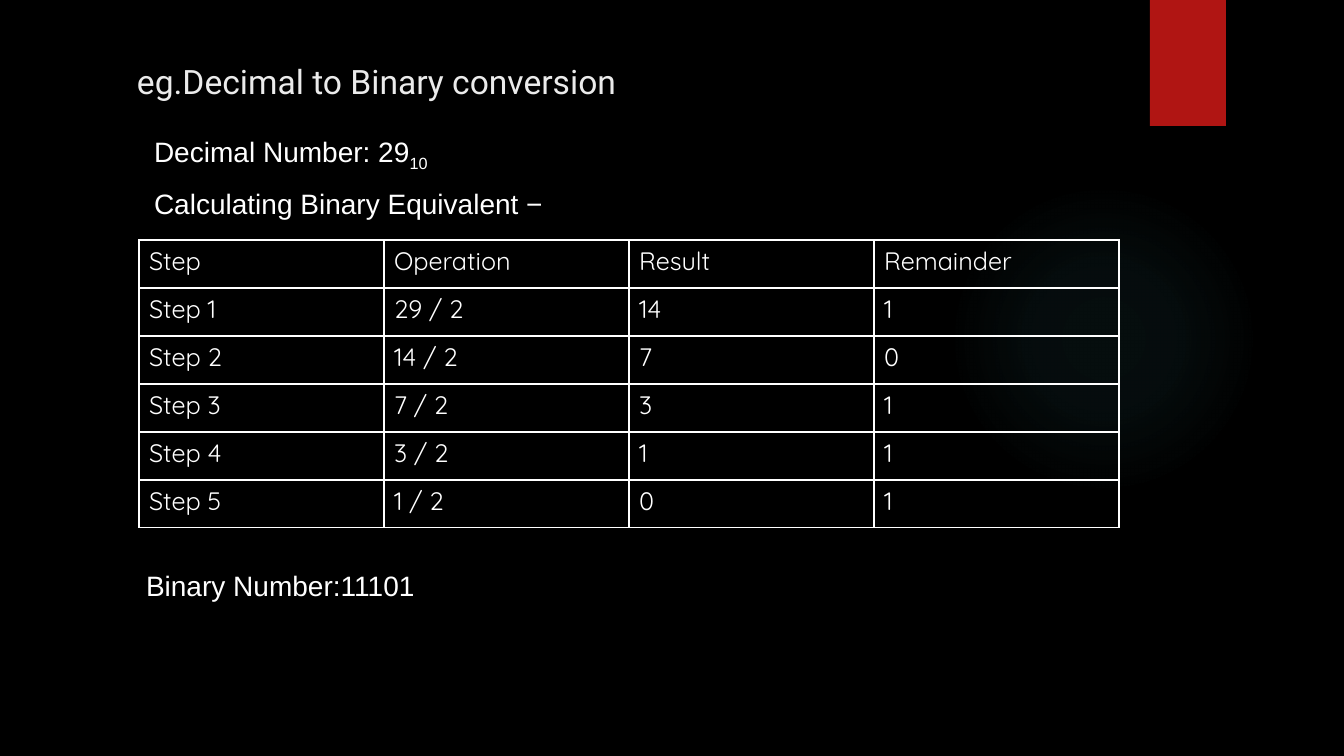
from dataclasses import dataclass

from lxml import etree
from pptx import Presentation
from pptx import util as u
from pptx.dml.color import RGBColor
from pptx.enum import shapes, text
from pptx.oxml import parse_xml
from pptx.oxml.ns import nsdecls, qn

WHITE = "FFFFFF"
BLACK = "000000"


@dataclass(frozen=True)
class Label:
    x: int
    y: int
    w: int
    h: int
    font: str
    size: int
    color: str
    lines: tuple[str, ...]
    gap: int = 0  # points between lines


LABELS = [
    Label(137, 61, 900, 40, "Roboto", 24, "EBEBEB",
          ("eg.Decimal to Binary conversion",)),
    Label(154, 134, 900, 88, "Arial", 20, WHITE,
          ("Decimal Number: 29_10", "Calculating Binary Equivalent −"), 10),
    Label(146, 568, 900, 34, "Arial", 20, WHITE, ("Binary Number:11101",)),
]

STEPS = [
    ("Step", "Operation", "Result", "Remainder"),
    ("Step 1", "29 / 2", "14", "1"),
    ("Step 2", "14 / 2", "7", "0"),
    ("Step 3", "7 / 2", "3", "1"),
    ("Step 4", "3 / 2", "1", "1"),
    ("Step 5", "1 / 2", "0", "1"),
]
TABLE_X, TABLE_Y, COL_W, ROW_H = 139, 240, 245, 48

GLOW_STOPS = [(0, 7), (36, 6), (69, 0)]  # position %, opacity %


def px(n: int) -> u.Emu:
    return u.Emu(round(n * 914400 / 100.8))


def rgb(color: str) -> RGBColor:
    return RGBColor.from_string(color)


def add_plain(s, kind, x: int, y: int, w: int, h: int):
    sp = s.shapes.add_shape(kind, px(x), px(y), px(w), px(h))
    sp.shadow.inherit = False
    sp.line.fill.background()
    return sp


def add_glow(s) -> None:
    """Draw the faint round light, a radial gradient fading to nothing."""
    sp = add_plain(s, shapes.MSO_SHAPE.OVAL, 949, 184, 310, 310)
    stops = "".join(
        f'<a:gs pos="{pos * 1000}"><a:srgbClr val="50B9C1">'
        f'<a:alpha val="{alpha * 1000}"/></a:srgbClr></a:gs>'
        for pos, alpha in GLOW_STOPS)
    grad = parse_xml(
        f'<a:gradFill {nsdecls("a")} rotWithShape="1"><a:gsLst>{stops}</a:gsLst>'
        '<a:path path="circle"><a:fillToRect l="50000" t="50000" r="50000" b="50000"/>'
        '</a:path></a:gradFill>')
    sp._element.spPr.find(qn("a:prstGeom")).addnext(grad)


def add_label(s, label: Label) -> None:
    """Write the lines; what follows an underscore is a subscript."""
    box = s.shapes.add_textbox(px(label.x), px(label.y), px(label.w), px(label.h))
    tf = box.text_frame
    tf.word_wrap = True
    tf.margin_left = tf.margin_right = tf.margin_top = tf.margin_bottom = 0
    for i, line in enumerate(label.lines):
        p = tf.add_paragraph() if i else tf.paragraphs[0]
        p.space_before = u.Pt(label.gap if i else 0)
        p.font.name, p.font.size = label.font, u.Pt(label.size)
        p.font.color.rgb = rgb(label.color)
        base, _, subscript = line.partition("_")
        p.add_run().text = base
        if subscript:
            r = p.add_run()
            r.text = subscript
            r.font._element.set("baseline", "-25000")


def set_borders(cell, color: str) -> None:
    tc_pr = cell._tc.get_or_add_tcPr()
    for i, side in enumerate(("lnL", "lnR", "lnT", "lnB")):
        ln = etree.Element(qn(f"a:{side}"), w=str(u.Pt(1)))
        fill = etree.SubElement(ln, qn("a:solidFill"))
        etree.SubElement(fill, qn("a:srgbClr"), val=color)
        tc_pr.insert(i, ln)


def add_steps(s) -> None:
    rows, cols = len(STEPS), len(STEPS[0])
    table = s.shapes.add_table(rows, cols, px(TABLE_X), px(TABLE_Y),
                               px(COL_W * cols), px(ROW_H * rows)).table
    table.first_row = table.horz_banding = False
    for col in table.columns:
        col.width = px(COL_W)
    for row, values in zip(table.rows, STEPS):
        row.height = px(ROW_H)
        for cell, value in zip(row.cells, values):
            cell.fill.background()
            set_borders(cell, WHITE)
            cell.vertical_anchor = text.MSO_ANCHOR.TOP
            p = cell.text_frame.paragraphs[0]
            p.text = value
            p.font.name, p.font.size = "Quicksand", u.Pt(18)
            p.font.color.rgb = rgb(WHITE)


def main() -> None:
    prs = Presentation()
    prs.slide_width, prs.slide_height = px(1344), px(756)
    s = prs.slides.add_slide(prs.slide_layouts[6])
    s.background.fill.solid()
    s.background.fill.fore_color.rgb = rgb(BLACK)

    add_glow(s)
    tab = add_plain(s, shapes.MSO_SHAPE.RECTANGLE, 1150, 0, 76, 126)
    tab.fill.solid()
    tab.fill.fore_color.rgb = rgb("B01513")
    for label in LABELS:
        add_label(s, label)
    add_steps(s)
    prs.save("out.pptx")


if __name__ == "__main__":
    main()
